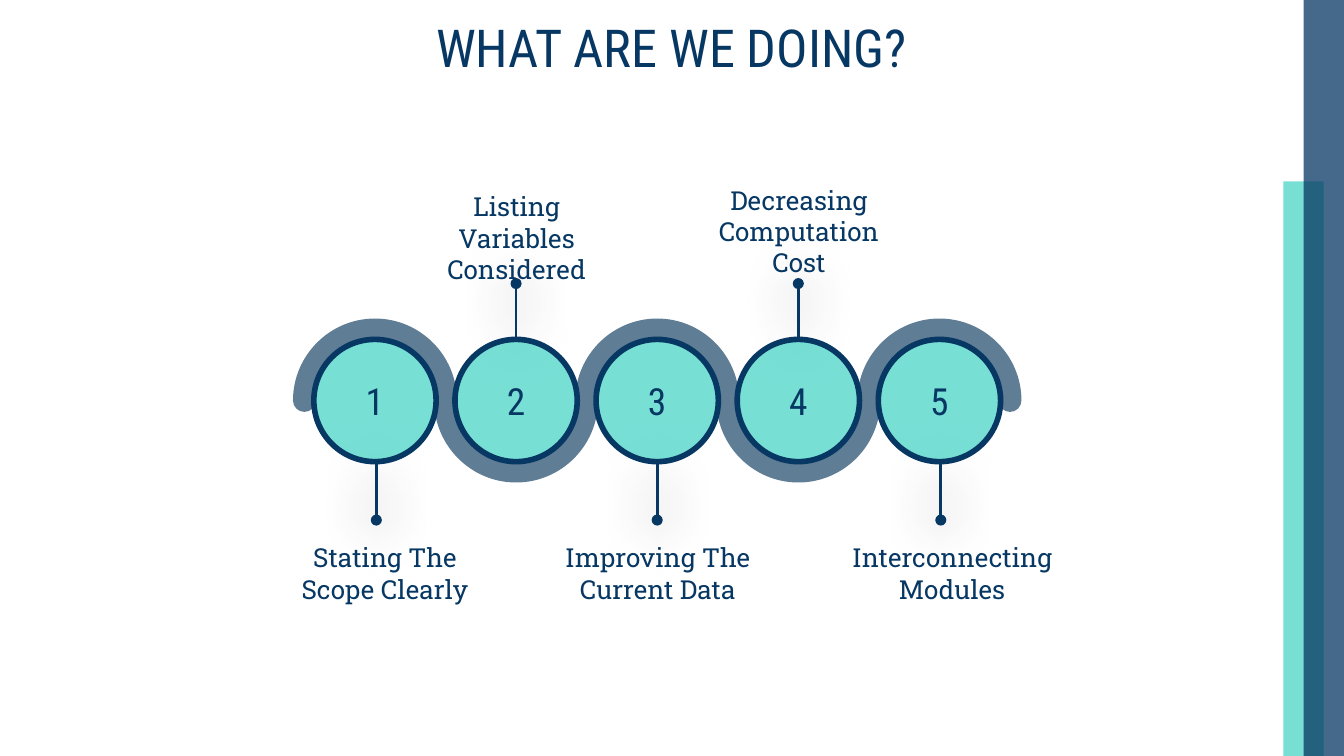
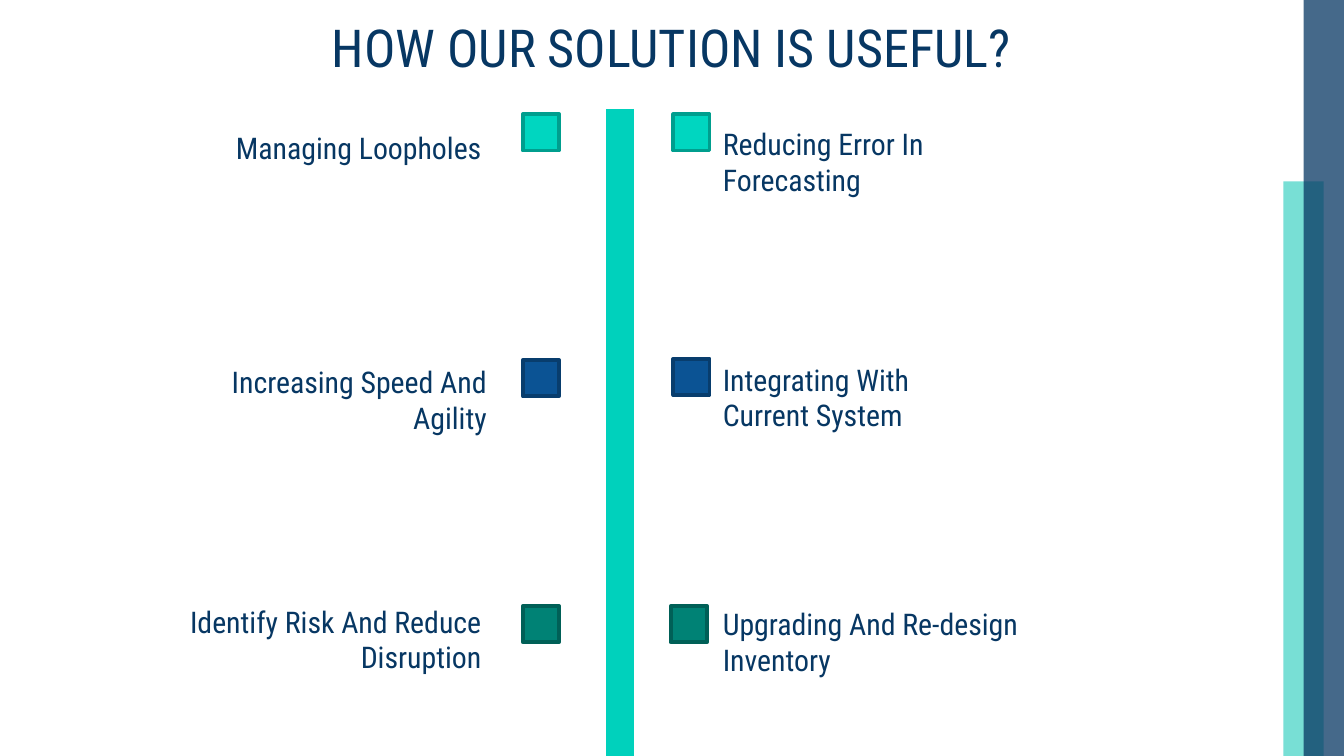
from math import cos, sin, radians
from lxml import etree
from pptx import Presentation
from pptx.dml.color import RGBColor
from pptx.enum.shapes import MSO_CONNECTOR, MSO_SHAPE
from pptx.enum.text import MSO_ANCHOR, PP_ALIGN
from pptx.oxml.ns import qn
from pptx.util import Inches, Pt

RECT, OVAL = MSO_SHAPE.RECTANGLE, MSO_SHAPE.OVAL
LINE = MSO_CONNECTOR.STRAIGHT
LEFT, MID, RIGHT = PP_ALIGN.LEFT, PP_ALIGN.CENTER, PP_ALIGN.RIGHT
TOP, CENTER = MSO_ANCHOR.TOP, MSO_ANCHOR.MIDDLE

# Grid of one-inch columns and rows
COLS, ROWS = 10, 5.625
NAVY, TEAL, SLATE = "073763", "00C3B1", "5F7D95"
SANS, SLAB = "Roboto Condensed", "Roboto Slab"


def paint(fill, tint, share=100):
    """Fill with a hex tint, at a share of full opacity."""
    fill.solid()
    fill.fore_color.rgb = RGBColor.from_string(tint)
    if share < 100:
        tone = fill._xPr.find(qn("a:solidFill"))[0]
        etree.SubElement(tone, qn("a:alpha"), val=str(share * 1000))


def write(frame, text, size=16, font=SANS, align=MID, anchor=CENTER,
          pads=(0.1, 0.1, 0.1, 0.1), after=0):
    frame.word_wrap = True
    frame.vertical_anchor = anchor
    (frame.margin_left, frame.margin_top,
     frame.margin_right, frame.margin_bottom) = map(Inches, pads)
    para = frame.paragraphs[0]
    para.alignment = align
    para.space_after = Pt(after)
    run = para.add_run()
    run.text = text
    run.font.size = Pt(size)
    run.font.name = font
    paint(run.font.fill, NAVY)


deck = Presentation()
deck.slide_width, deck.slide_height = Inches(COLS), Inches(ROWS)

# Shared side bands and title
pages = []
for title in ("WHAT ARE WE DOING?", "HOW OUR SOLUTION IS USEFUL?"):
    page = deck.slides.add_slide(deck.slide_layouts[6]).shapes
    for x, y, tint, share in ((9.55, 1.35, TEAL, 53), (9.7, 0, NAVY, 75)):
        band = page.add_shape(RECT, *map(Inches, (x, y, 0.3, ROWS - y)))
        band.shadow.inherit = False
        band.line.fill.background()
        paint(band.fill, tint, share)
    head = page.add_textbox(*map(Inches, (0.78, 0.13, 8.43, 0.44)))
    write(head.text_frame, title, size=28)
    pages.append(page)
steps, gains = pages

# Slide 1: ribbon that winds around five evenly spaced rings
OUT, IN = 0.61, 0.44
STEP, CAP = OUT + IN, (OUT - IN) / 2
MIDY, RING = 2.98, 0.455
BEND = 0.55  # handle length of a quarter turn, as a share of its radius
hubs = [2.79 + STEP * i for i in range(5)]
over = [(x, IN if i % 2 else OUT, 180, 1 if i % 2 else -1)
        for i, x in enumerate(hubs)]
under = [(x, OUT if i % 2 else IN, 0, -1 if i % 2 else 1)
         for i, x in enumerate(hubs)]
arcs = (over + [(hubs[-1] + IN + CAP, CAP, 0, -1)]
        + under[::-1] + [(hubs[0] - IN - CAP, CAP, 0, -1)])

# Each half turn is two quarter curves: two handles and an end
curves = []
for x, r, start, way in arcs:
    for turn in (start, start + 90 * way):
        a, b = radians(turn), radians(turn + 90 * way)
        pull = BEND * way
        spots = ((cos(a) - pull * sin(a), sin(a) + pull * cos(a)),
                 (cos(b) + pull * sin(b), sin(b) - pull * cos(b)),
                 (cos(b), sin(b)))
        curves.append([(Inches(x + r * u), Inches(MIDY - r * v))
                       for u, v in spots])
pen = steps.build_freeform(*curves[-1][-1])
pen.add_line_segments([curve[-1] for curve in curves], close=True)
wave = pen.convert_to_shape()
for edge, curve in zip(list(wave.element.iter(qn("a:lnTo"))), curves):
    bow = etree.Element(qn("a:cubicBezTo"))
    for x, y in curve:
        etree.SubElement(bow, qn("a:pt"),
                         x=str(x - wave.left), y=str(y - wave.top))
    edge.getparent().replace(edge, bow)
wave.shadow.inherit = False
wave.line.fill.background()
paint(wave.fill, SLATE)

# Stems
for i, x in enumerate((2.8, 3.84, 4.89, 5.94, 7)):
    near, far = (2.52, 2.11) if i % 2 else (3.44, 3.87)
    stem = steps.add_connector(LINE, *map(Inches, (x, near, x, far)))
    stem.line.width = Pt(1.5)
    paint(stem.line.fill, NAVY)
    props = stem.element.spPr
    etree.SubElement(props.find(qn("a:ln")), qn("a:tailEnd"), type="oval")
    glow = etree.SubElement(
        etree.SubElement(props, qn("a:effectLst")), qn("a:outerShdw"),
        blurRad=str(Pt(28.1)), dist=str(Pt(1.5)), dir="5400000",
        algn="bl", rotWithShape="0")
    tone = etree.SubElement(glow, qn("a:srgbClr"), val="000000")
    etree.SubElement(tone, qn("a:alpha"), val="73000")

# Rings and labels: left, top, width, height of each label
labels = [
    ("Stating The Scope Clearly", 2.1, 4.02, 1.53, 0.48),
    ("Listing Variables Considered", 3.08, 1.41, 1.53, 0.48),
    ("Improving The Current Data", 4.13, 4.02, 1.53, 0.48),
    ("Decreasing Computation Cost", 5.18, 1.36, 1.53, 0.52),
    ("Interconnecting Modules", 6.25, 4.02, 1.67, 0.48),
]
for i, (x, (text, *spot)) in enumerate(zip(hubs, labels), 1):
    ring = steps.add_shape(
        OVAL, *map(Inches, (x - RING, MIDY - RING, 2 * RING, 2 * RING)))
    ring.shadow.inherit = False
    ring.line.width = Pt(3)
    paint(ring.line.fill, NAVY)
    paint(ring.fill, TEAL, 53)
    write(ring.text_frame, str(i), size=20)
    label = steps.add_textbox(*map(Inches, spot))
    write(label.text_frame, text, size=14, font=SLAB, anchor=TOP,
          pads=(0, 0.01, 0, 0))

# Slide 2: central trunk
trunk = gains.add_connector(LINE, *map(Inches, (4.61, 0.81, 4.61, ROWS)))
trunk.line.width = Pt(15)
paint(trunk.line.fill, "00D1BC")
etree.SubElement(trunk.element.spPr, qn("a:effectLst"))

# Three rows a side: left and top of the mark, then left, top, width of text
tints = [("00D6C0", "009E8E"), ("0B5394", "083D6D"), ("008275", "006057")]
sides = [
    (RIGHT, [
        ("Managing Loopholes", 3.89, 0.85, 1.03, 0.84, 2.65),
        ("Increasing Speed And Agility", 3.89, 2.68, 1.2, 2.72, 2.52),
        ("Identify Risk And Reduce Disruption", 3.89, 4.51, 1.16, 4.5, 2.52)]),
    (LEFT, [
        ("Reducing Error In Forecasting", 5.01, 0.85, 5.28, 0.95, 2.18),
        ("Integrating With Current System", 5.01, 2.67, 5.28, 2.7, 2.26),
        ("Upgrading And Re-design Inventory", 4.99, 4.51, 5.28, 4.52, 2.46)]),
]
for align, rows in sides:
    for (tint, rim), (text, x, y, left, top, wide) in zip(tints, rows):
        mark = gains.add_shape(RECT, *map(Inches, (x, y, 0.27, 0.27)))
        mark.shadow.inherit = False
        mark.line.width = Pt(2)
        paint(mark.fill, tint)
        paint(mark.line.fill, rim)
        note = gains.add_textbox(*map(Inches, (left, top, wide, 0.31)))
        write(note.text_frame, text, align=align, pads=(0.1, 0.2, 0.1, 0),
              after=16)

deck.save("out.pptx")
